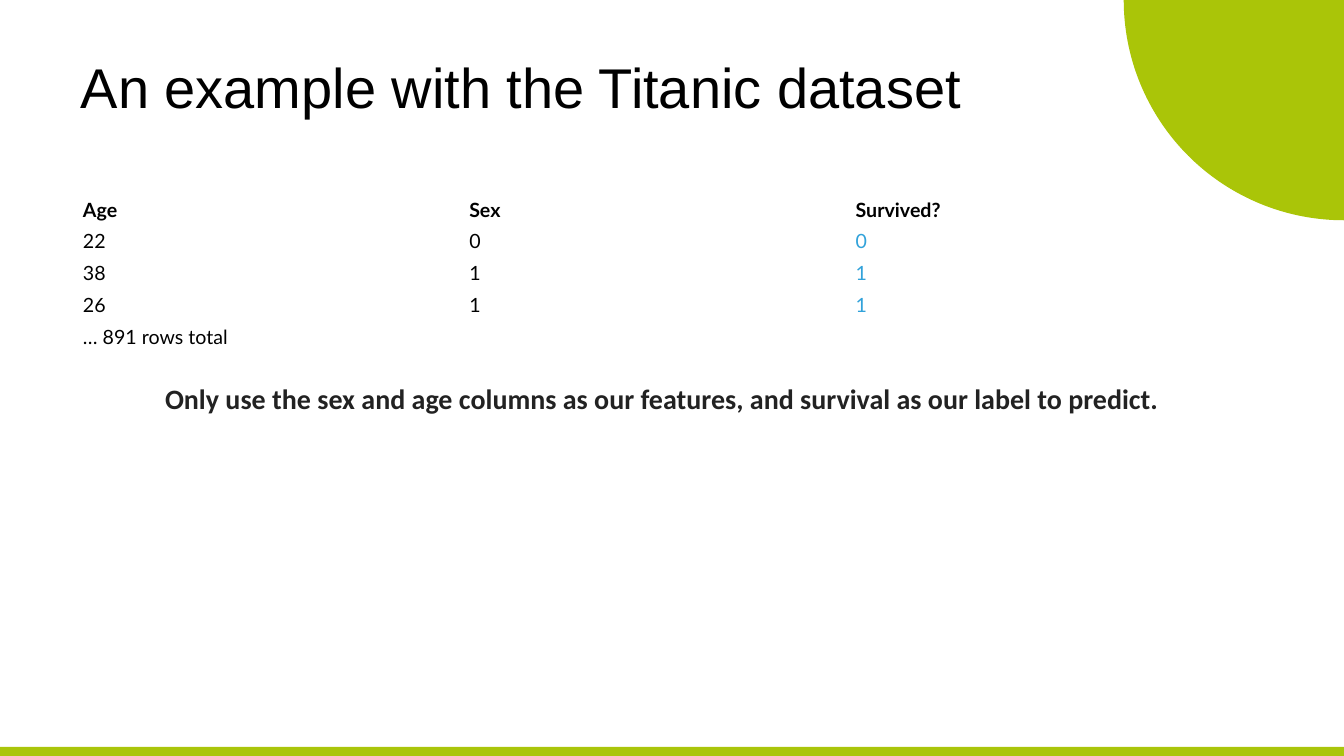
from pptx import Presentation
from pptx.dml.color import RGBColor
from pptx.enum.shapes import MSO_SHAPE
from pptx.enum.text import MSO_ANCHOR, MSO_AUTO_SIZE, PP_ALIGN
from pptx.util import Cm, Pt

RECT, PIE = MSO_SHAPE.RECTANGLE, MSO_SHAPE.PIE
TOP, MIDDLE = MSO_ANCHOR.TOP, MSO_ANCHOR.MIDDLE
NO_FIT = MSO_AUTO_SIZE.NONE
LEFT = PP_ALIGN.LEFT

SLIDE_W, SLIDE_H = 33.87, 19.05
TITLE_ONLY = 5
PASSENGERS = [
    ("Age", "Sex", "Survived?"),
    ("22", "0", "0"),
    ("38", "1", "1"),
    ("26", "1", "1"),
    ("… 891 rows total", "", ""),
]


def color(hex_code):
    return RGBColor.from_string(hex_code)


class Deck:
    BLACK, GREY = "000000", "222222"
    GREEN, PIE_GREEN, BLUE = "AAC50B", "AAC508", "31A2DA"

    def __init__(self):
        self.prs = Presentation()
        self.prs.slide_width, self.prs.slide_height = Cm(SLIDE_W), Cm(SLIDE_H)
        self.s = self.prs.slides.add_slide(self.prs.slide_layouts[TITLE_ONLY])

    def set_text(self, tf, text, font, size, hex_code, bold=False):
        """Fill a text frame with one left-aligned paragraph."""
        p = tf.paragraphs[0]
        p.text = text
        p.alignment = LEFT
        p.font.name, p.font.size, p.font.bold = font, Pt(size), bold
        p.font.color.rgb = color(hex_code)

    def shape(self, kind, x, y, w, h, hex_code):
        sp = self.s.shapes.add_shape(kind, Cm(x), Cm(y), Cm(w), Cm(h))
        sp.shadow.inherit = False
        sp.fill.solid()
        sp.fill.fore_color.rgb = color(hex_code)
        sp.line.fill.background()
        return sp

    def title(self, text, x, y, w, h):
        sp = self.s.shapes.title
        sp.left, sp.top, sp.width, sp.height = Cm(x), Cm(y), Cm(w), Cm(h)
        tf = sp.text_frame
        tf.auto_size, tf.vertical_anchor = NO_FIT, TOP
        tf.margin_top = Cm(0.25)
        self.set_text(tf, text, "Arial", 40, self.BLACK)

    def text(self, text, x, y, w, h):
        tf = self.s.shapes.add_textbox(Cm(x), Cm(y), Cm(w), Cm(h)).text_frame
        tf.word_wrap, tf.vertical_anchor = True, MIDDLE
        self.set_text(tf, text, "Calibri", 20, self.GREY, bold=True)

    def table(self, rows, x, y, w, row_h):
        """Add a plain table: bold header, blue label column, merged last row."""
        n_rows, n_cols = len(rows), len(rows[0])
        table = self.s.shapes.add_table(
            n_rows, n_cols, Cm(x), Cm(y), Cm(w), Cm(row_h * n_rows)).table
        table.first_row = table.horz_banding = False
        for i, row in enumerate(rows):
            for j, value in enumerate(row):
                cell = table.cell(i, j)
                cell.fill.background()
                cell.vertical_anchor = MIDDLE
                cell.margin_left = cell.margin_right = Cm(0.13)
                cell.margin_top = cell.margin_bottom = Cm(0.1)
                is_label = i > 0 and j == n_cols - 1
                self.set_text(cell.text_frame, value, "Lato", 14,
                              self.BLUE if is_label else self.BLACK,
                              bold=i == 0)
        table.cell(n_rows - 1, 0).merge(table.cell(n_rows - 1, n_cols - 1))


def main():
    deck = Deck()
    bar_h, radius = 0.23, 5.55
    deck.shape(RECT, 0, SLIDE_H - bar_h, SLIDE_W, bar_h, deck.GREEN)
    corner = deck.shape(PIE, SLIDE_W - radius, -radius,
                        2 * radius, 2 * radius, deck.PIE_GREEN)
    # Angles of 90 and 180 degrees, in units of 5/3 degree
    corner.adjustments[0], corner.adjustments[1] = 54, 108

    deck.title("An example with the Titanic dataset", 1.78, 1.07, 29.39, 3.81)
    deck.table(PASSENGERS, 1.96, 4.88, 29.21, 0.8)
    deck.text("Only use the sex and age columns as our features, "
              "and survival as our label to predict.", 3.91, 9.47, 25.83, 1.12)
    deck.prs.save("out.pptx")


if __name__ == "__main__":
    main()
